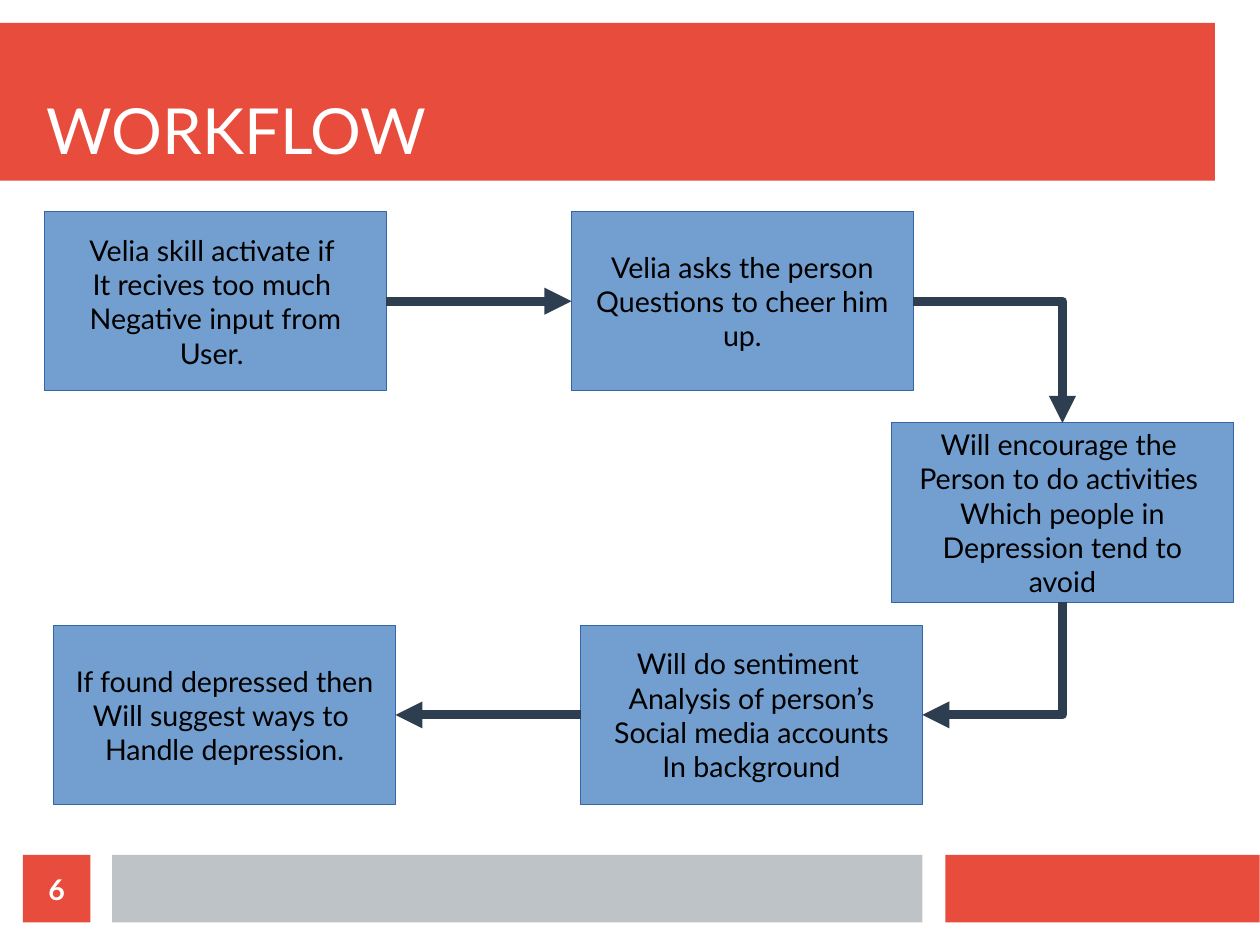
from dataclasses import dataclass

from lxml import etree
from pptx import Presentation, util as u
from pptx.dml.color import RGBColor
from pptx.enum import shapes, text
from pptx.oxml import ns
from pptx.shapes.autoshape import Shape
from pptx.shapes.connector import Connector
from pptx.slide import Slide
from pptx.text.text import TextFrame

RED = RGBColor(0xE7, 0x4C, 0x3C)
GREY = RGBColor(0xBD, 0xC3, 0xC7)
BLUE = RGBColor(0x72, 0x9F, 0xCF)
BLUE_EDGE = RGBColor(0x34, 0x65, 0xA4)
NAVY = RGBColor(0x2C, 0x3E, 0x50)
BLACK = RGBColor(0, 0, 0)
WHITE = RGBColor(0xFF, 0xFF, 0xFF)

FONT = "Lato"
SLIDE_WIDTH_CM, SLIDE_HEIGHT_CM = 28, 21
STEP_WIDTH, STEP_HEIGHT = 2.99, 1.57
FOOTER_TOP, FOOTER_HEIGHT = 7.48, 0.59
TOP, LEFT, BOTTOM, RIGHT = range(4)


@dataclass(frozen=True)
class Bar:
    left: float
    top: float
    width: float
    height: float
    color: RGBColor


@dataclass(frozen=True)
class Step:
    left: float
    top: float
    lines: tuple[str, ...]

    def side(self, site: int) -> tuple[float, float]:
        across = {LEFT: 0, RIGHT: 1}.get(site, 0.5)
        down = {TOP: 0, BOTTOM: 1}.get(site, 0.5)
        return self.left + across * STEP_WIDTH, self.top + down * STEP_HEIGHT


@dataclass(frozen=True)
class Arrow:
    start: int
    start_site: int
    end: int
    end_site: int
    bent: bool = False


BARS = (
    Bar(0, 0.2, 10.63, 1.38, RED),
    Bar(8.27, FOOTER_TOP, 2.75, FOOTER_HEIGHT, RED),
    Bar(0.98, FOOTER_TOP, 7.09, FOOTER_HEIGHT, GREY),
)
NUMBER_BAR = Bar(0.2, FOOTER_TOP, FOOTER_HEIGHT, FOOTER_HEIGHT, RED)

STEPS = (
    Step(0.39, 1.85, ("Velia skill activate if ", "It recives too much ",
                      "Negative input from", "User. ")),
    Step(5, 1.85, ("Velia asks the person", "Questions to cheer him", "up.")),
    Step(7.8, 3.7, ("Will encourage the ", "Person to do activities ",
                    "Which people in", "Depression tend to", "avoid")),
    Step(5.08, 5.47, ("Will do sentiment ", "Analysis of person’s",
                      "Social media accounts", "In background")),
    Step(0.47, 5.47, ("If found depressed then", "Will suggest ways to ",
                      "Handle depression.")),
)

ARROWS = (
    Arrow(0, RIGHT, 1, LEFT),
    Arrow(1, RIGHT, 2, TOP, bent=True),
    Arrow(2, BOTTOM, 3, RIGHT, bent=True),
    Arrow(3, LEFT, 4, RIGHT),
)


def inches_from_cm(centimetres: int) -> int:
    return u.Inches(centimetres) * 100 // 254


def write_lines(frame: TextFrame, lines: tuple[str, ...], size: float,
                color: RGBColor, align: text.PP_ALIGN, bold: bool = False) -> None:
    for index, line in enumerate(lines):
        paragraph = frame.add_paragraph() if index else frame.paragraphs[0]
        paragraph.alignment = align
        run = paragraph.add_run()
        run.text = line
        run.font.name = FONT
        run.font.size = u.Pt(size)
        run.font.bold = bold
        run.font.color.rgb = color


def add_bar(slide: Slide, bar: Bar) -> Shape:
    shape = slide.shapes.add_shape(
        shapes.MSO_SHAPE.RECTANGLE, u.Inches(bar.left), u.Inches(bar.top),
        u.Inches(bar.width), u.Inches(bar.height))
    shape.shadow.inherit = False
    shape.fill.solid()
    shape.fill.fore_color.rgb = bar.color
    shape.line.fill.background()
    return shape


def add_step(slide: Slide, step: Step) -> Shape:
    shape = add_bar(slide, Bar(step.left, step.top, STEP_WIDTH, STEP_HEIGHT, BLUE))
    shape.line.color.rgb = BLUE_EDGE
    shape.line.width = u.Pt(0)
    frame = shape.text_frame
    frame.word_wrap = False
    frame.vertical_anchor = text.MSO_ANCHOR.MIDDLE
    write_lines(frame, step.lines, 18, BLACK, text.PP_ALIGN.CENTER)
    return shape


def add_title(slide: Slide, title: str) -> None:
    box = slide.shapes.add_textbox(
        u.Inches(0.31), u.Inches(0.75), u.Inches(10.16), u.Inches(0.86))
    box.text_frame.word_wrap = True
    box.text_frame.auto_size = text.MSO_AUTO_SIZE.SHAPE_TO_FIT_TEXT
    write_lines(box.text_frame, (title,), 40, WHITE, text.PP_ALIGN.LEFT)


def add_slide_number(slide: Slide, number: str) -> None:
    frame = add_bar(slide, NUMBER_BAR).text_frame
    frame.margin_left = frame.margin_right = 0
    frame.margin_top = frame.margin_bottom = 0
    frame.vertical_anchor = text.MSO_ANCHOR.MIDDLE
    write_lines(frame, (number,), 18, WHITE, text.PP_ALIGN.CENTER, bold=True)


def bend_once(connector: Connector, quarter_turn: bool) -> None:
    properties = connector._element.spPr
    properties.find(ns.qn("a:prstGeom")).set("prst", "bentConnector2")
    if quarter_turn:
        properties.find(ns.qn("a:xfrm")).set("rot", "5400000")


def add_arrow(slide: Slide, arrow: Arrow, boxes: list[Shape]) -> None:
    x1, y1 = STEPS[arrow.start].side(arrow.start_site)
    x2, y2 = STEPS[arrow.end].side(arrow.end_site)
    quarter_turn = arrow.bent and arrow.start_site == BOTTOM
    if quarter_turn:
        center_x, center_y = (x1 + x2) / 2, (y1 + y2) / 2
        half_width, half_height = abs(y2 - y1) / 2, abs(x2 - x1) / 2
        x1, x2 = center_x - half_width, center_x + half_width
        y1, y2 = center_y - half_height, center_y + half_height
    kind = shapes.MSO_CONNECTOR.ELBOW if arrow.bent else shapes.MSO_CONNECTOR.STRAIGHT
    connector = slide.shapes.add_connector(
        kind, u.Inches(x1), u.Inches(y1), u.Inches(x2), u.Inches(y2))
    if arrow.bent:
        bend_once(connector, quarter_turn)
    else:
        connector.begin_connect(boxes[arrow.start], arrow.start_site)
        connector.end_connect(boxes[arrow.end], arrow.end_site)
    connector.line.color.rgb = NAVY
    connector.line.width = u.Pt(5.67)
    line = connector.line._get_or_add_ln()
    etree.SubElement(line, ns.qn("a:round"))
    etree.SubElement(line, ns.qn("a:tailEnd"), type="triangle")
    etree.SubElement(connector._element.spPr, ns.qn("a:effectLst"))


def main() -> None:
    presentation = Presentation()
    presentation.slide_width = inches_from_cm(SLIDE_WIDTH_CM)
    presentation.slide_height = inches_from_cm(SLIDE_HEIGHT_CM)
    slide = presentation.slides.add_slide(presentation.slide_layouts[6])
    for bar in BARS:
        add_bar(slide, bar)
    boxes = [add_step(slide, step) for step in STEPS]
    for arrow in ARROWS:
        add_arrow(slide, arrow, boxes)
    add_title(slide, "WORKFLOW")
    add_slide_number(slide, "6")
    presentation.save("out.pptx")


if __name__ == "__main__":
    main()
